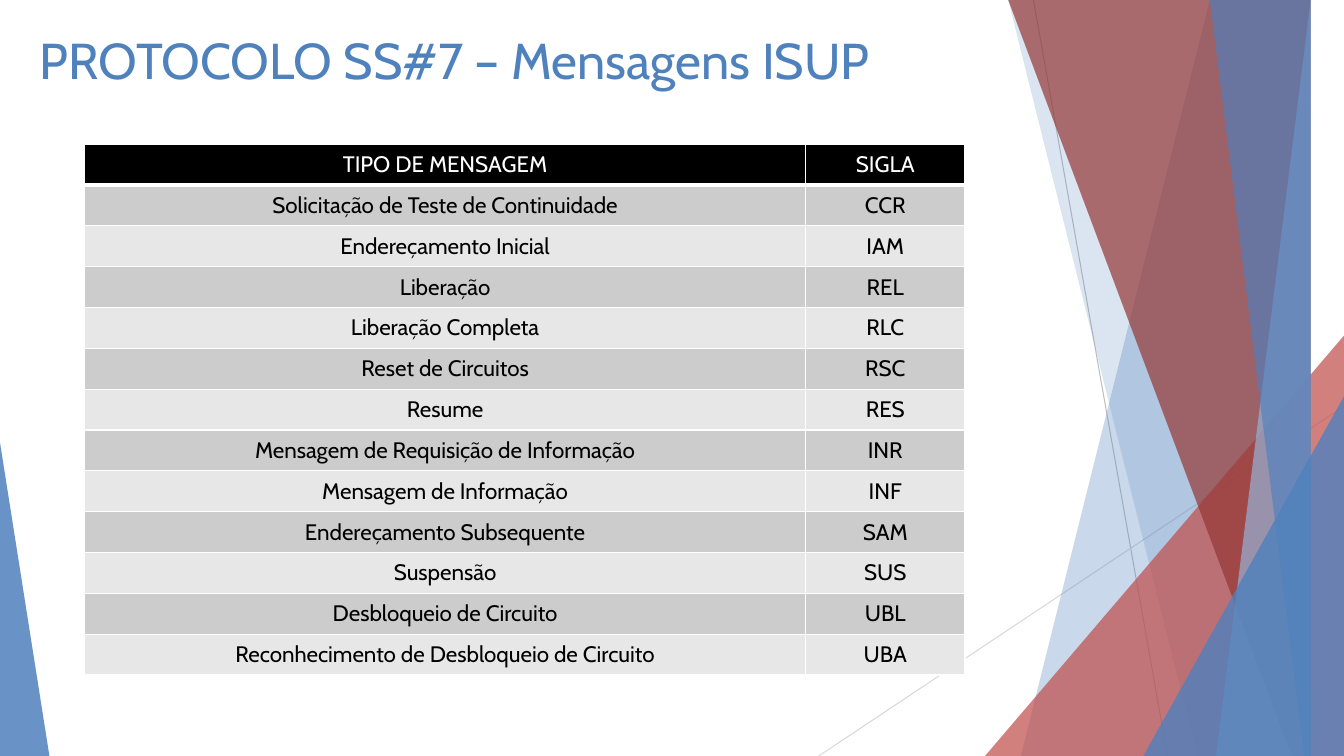
"""Build the slide that lists the ISUP message types of SS#7."""
from dataclasses import dataclass

from lxml import etree
from pptx import Presentation
from pptx import util as u
from pptx.dml.color import RGBColor
from pptx.enum import shapes, text
from pptx.oxml.ns import qn

TITLE = "PROTOCOLO SS#7 – Mensagens ISUP"
MESSAGES = [
    ("TIPO DE MENSAGEM", "SIGLA"),
    ("Solicitação de Teste de Continuidade", "CCR"),
    ("Endereçamento Inicial", "IAM"),
    ("Liberação", "REL"),
    ("Liberação Completa", "RLC"),
    ("Reset de Circuitos", "RSC"),
    ("Resume", "RES"),
    ("Mensagem de Requisição de Informação", "INR"),
    ("Mensagem de Informação", "INF"),
    ("Endereçamento Subsequente", "SAM"),
    ("Suspensão", "SUS"),
    ("Desbloqueio de Circuito", "UBL"),
    ("Reconhecimento de Desbloqueio de Circuito", "UBA"),
]


@dataclass(frozen=True)
class Theme:
    """Colours, font and type sizes of the slide."""
    blue: str = "4F81BD"
    pale_blue: str = "95B3D7"
    red: str = "C0504D"
    dark_red: str = "953735"
    white: str = "FFFFFF"
    black: str = "000000"
    dark_band: str = "CCCCCC"
    light_band: str = "E7E7E7"
    dark_line: str = "BFBFBF"
    light_line: str = "D9D9D9"
    font: str = "Cabin"
    title_size: int = 36
    table_size: int = 16


THEME = Theme()
WIDTH, HEIGHT, BLEED = 13.33, 7.5, -0.01
COLUMNS, ROW_HEIGHT = (7.15, 1.58), 5.27 / len(MESSAGES)
LINES = [
    ((10.25, 0), (11.58, HEIGHT), THEME.dark_line),
    ((WIDTH, 4.03), (8.12, HEIGHT), THEME.light_line),
]
# fmt: off
FACETS = [
    ("band", (12.28, 10.04), THEME.blue, 30),
    ("band", (10.5, 11.83), THEME.blue, 20),
    ("corner", (9.77, 3.33, 3.56, 1), THEME.red, 72),
    ("band", (10.21, 12.91), THEME.dark_red, 70),
    ("band", (13.03, 11.92), THEME.pale_blue, 70),
    ("band", (11.96, 13.18), THEME.blue, 65),
    ("corner", (11.34, 3.93, 1.99, 1), THEME.blue, 80),
    ("corner", (0, 4.39, 0.49, 0), THEME.blue, 85),
]


def colour(code):
    """Turn a hex code into a colour."""
    return RGBColor.from_string(code)


def add_line(page, start, end, code):
    """Draw a thin line without a shadow."""
    line = page.shapes.add_connector(
        shapes.MSO_CONNECTOR.STRAIGHT, *map(u.Inches, start + end))
    line.line.color.rgb = colour(code)
    line.line.width = u.Pt(0.75)
    etree.SubElement(line.element.spPr, qn("a:effectLst"))


def add_band(page, top_x, bottom_x):
    """Outline a band that reaches the right edge of the slide."""
    builder = page.shapes.build_freeform(top_x, BLEED, scale=u.Inches(1))
    builder.add_line_segments(
        [(WIDTH, BLEED), (WIDTH, HEIGHT), (bottom_x, HEIGHT)])
    return builder.convert_to_shape()


def add_corner(page, left, top, width, apex):
    """Place a triangle that stands on the bottom edge."""
    corner = page.shapes.add_shape(
        shapes.MSO_SHAPE.ISOSCELES_TRIANGLE,
        *map(u.Inches, (left, top, width, HEIGHT - top)))
    corner.adjustments[0] = apex
    return corner


def add_facet(page, kind, geometry, code, opacity):
    """Draw one translucent facet."""
    draw = {"band": add_band, "corner": add_corner}[kind]
    facet = draw(page, *geometry)
    facet.shadow.inherit = False
    facet.line.fill.background()
    facet.fill.solid()
    facet.fill.fore_color.rgb = colour(code)
    tint = facet.element.spPr.find(f"{qn('a:solidFill')}/{qn('a:srgbClr')}")
    etree.SubElement(tint, qn("a:alpha"), val=str(opacity * 1000))


def set_font(paragraph, size, code):
    """Set the font of a whole paragraph."""
    paragraph.font.name = THEME.font
    paragraph.font.size = u.Pt(size)
    paragraph.font.bold = False
    paragraph.font.color.rgb = colour(code)


def set_borders(cell, bottom):
    """Give a cell white borders, placed ahead of its fill."""
    sides = {"lnL": 1, "lnR": 1, "lnT": 1, "lnB": bottom}
    properties = cell._tc.get_or_add_tcPr()
    for index, (side, width) in enumerate(sides.items()):
        border = etree.Element(qn(f"a:{side}"), w=str(u.Pt(width)))
        solid = etree.SubElement(border, qn("a:solidFill"))
        etree.SubElement(solid, qn("a:srgbClr"), val=THEME.white)
        properties.insert(index, border)


def add_messages(page):
    """Add the table of message types."""
    table = page.shapes.add_table(
        len(MESSAGES), len(COLUMNS), u.Inches(0.84), u.Inches(1.43),
        u.Inches(sum(COLUMNS)), u.Inches(ROW_HEIGHT * len(MESSAGES))).table
    for column, width in zip(table.columns, COLUMNS):
        column.width = u.Inches(width)
    for index, message in enumerate(MESSAGES):
        header = index == 0
        band = THEME.dark_band if index % 2 else THEME.light_band
        table.rows[index].height = u.Inches(ROW_HEIGHT)
        for cell, words in zip(table.rows[index].cells, message):
            cell.text = words
            cell.vertical_anchor = text.MSO_ANCHOR.MIDDLE
            cell.fill.solid()
            cell.fill.fore_color.rgb = colour(THEME.black if header else band)
            set_borders(cell, 3 if header else 1)
            paragraph = cell.text_frame.paragraphs[0]
            paragraph.alignment = text.PP_ALIGN.CENTER
            set_font(paragraph, THEME.table_size,
                     THEME.white if header else THEME.black)


def add_title(page):
    """Fill the title and bring it in front of the facets."""
    title = page.shapes.title
    title.left, title.top = u.Inches(0.29), u.Inches(0.24)
    title.width, title.height = u.Inches(11.22), u.Inches(1.65)
    frame = title.text_frame
    frame.text = TITLE
    frame.word_wrap = True
    frame.auto_size = text.MSO_AUTO_SIZE.NONE
    frame.vertical_anchor = text.MSO_ANCHOR.TOP
    frame.paragraphs[0].alignment = text.PP_ALIGN.LEFT
    set_font(frame.paragraphs[0], THEME.title_size, THEME.blue)
    page.shapes.element.append(title.element)


def main():
    """Build and save the deck."""
    deck = Presentation()
    deck.slide_width, deck.slide_height = u.Inches(WIDTH), u.Inches(HEIGHT)
    page = deck.slides.add_slide(deck.slide_layouts.get_by_name("Title Only"))
    for line in LINES:
        add_line(page, *line)
    for facet in FACETS:
        add_facet(page, *facet)
    add_title(page)
    add_messages(page)
    deck.save("out.pptx")


if __name__ == "__main__":
    main()
